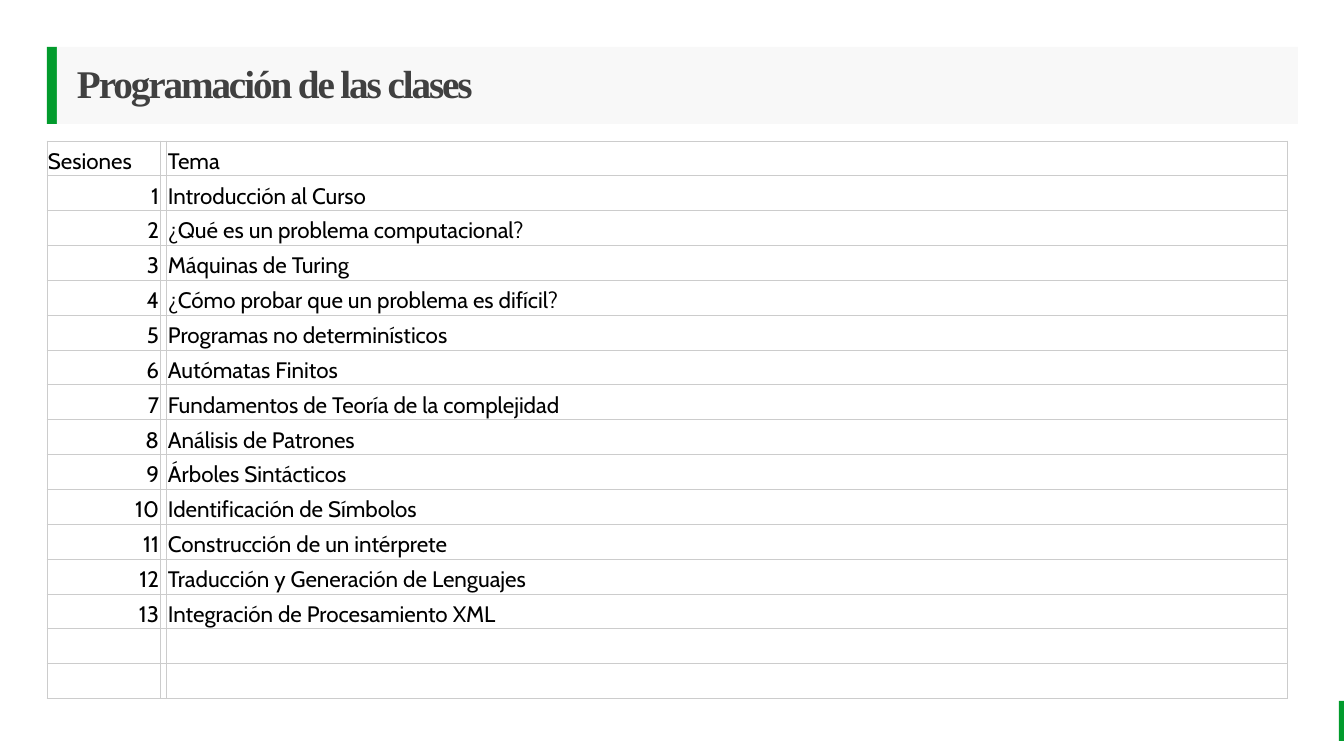
"""Build the class schedule slide: a title band above a table of sessions."""
from lxml.etree import SubElement
from pptx import Presentation
from pptx.dml.color import RGBColor
from pptx.enum.shapes import MSO_SHAPE
from pptx.enum.text import MSO_ANCHOR, PP_ALIGN
from pptx.oxml.ns import qn
from pptx.util import Pt

TITLE = "Programación de las clases"
HEADINGS = ("Sesiones", "", "Tema")
TOPICS = [
    "Introducción al Curso",
    "¿Qué es un problema computacional?",
    "Máquinas de Turing",
    "¿Cómo probar que un problema es difícil?",
    "Programas no determinísticos",
    "Autómatas Finitos",
    "Fundamentos de Teoría de la complejidad",
    "Análisis de Patrones",
    "Árboles Sintácticos",
    "Identificación de Símbolos",
    "Construcción de un intérprete",
    "Traducción y Generación de Lenguajes",
    "Integración de Procesamiento XML",
]
SPARE_ROWS = 2

SLIDE = (1344, 756)
TITLE_BAND = (57, 47, 1241, 77)
GREEN_BARS = [(1339, 701, 5, 40), (47, 47, 10, 77)]
SCHEDULE = (47, 141, 1241, 558)
COLUMNS = (113, 7, 1121)
GREEN, BAND, TITLE_INK, INK, GRID = "029B2D", "F8F8F8", "404040", "000000", "CCCCCC"


def px(length):
    return round(length * 914400 / 100.8)


def color(value):
    return RGBColor.from_string(value)


def style(paragraph, name, size, ink, bold=False):
    font = paragraph.font
    font.name, font.size, font.bold = name, Pt(size), bold
    font.color.rgb = color(ink)


def add_bar(slide, box, fill):
    bar = slide.shapes.add_shape(MSO_SHAPE.RECTANGLE, *map(px, box))
    bar.shadow.inherit = False
    bar.fill.solid()
    bar.fill.fore_color.rgb = color(fill)
    bar.line.fill.background()
    return bar


def add_title(slide):
    frame = add_bar(slide, TITLE_BAND, BAND).text_frame
    frame.word_wrap = True
    frame.vertical_anchor = MSO_ANCHOR.MIDDLE
    frame.margin_left = px(20)
    frame.margin_top = frame.margin_right = frame.margin_bottom = 0
    heading = frame.paragraphs[0]
    heading.text = TITLE
    heading.alignment = PP_ALIGN.LEFT
    heading.line_spacing = 0.9
    style(heading, "Times New Roman", 28, TITLE_INK, bold=True)
    heading._p.pPr.find(qn("a:defRPr")).set("spc", "-150")


def add_borders(cell):
    properties = cell._tc.get_or_add_tcPr()
    for side in ("L", "R", "T", "B"):
        border = SubElement(properties, qn(f"a:ln{side}"), w=str(Pt(0.75)))
        fill = SubElement(border, qn("a:solidFill"))
        SubElement(fill, qn("a:srgbClr"), val=GRID)


def add_schedule(slide):
    sessions = [(str(number), "", topic) for number, topic in enumerate(TOPICS, 1)]
    rows = [HEADINGS, *sessions, *[("", "", "")] * SPARE_ROWS]
    table = slide.shapes.add_table(len(rows), len(COLUMNS), *map(px, SCHEDULE)).table
    table.first_row = table.horz_banding = False
    for column, width in zip(table.columns, COLUMNS):
        column.width = px(width)
    for row_index, row in enumerate(rows):
        table.rows[row_index].height = px(SCHEDULE[3] / len(rows))
        for column_index, text in enumerate(row):
            cell = table.cell(row_index, column_index)
            add_borders(cell)
            cell.fill.background()
            cell.vertical_anchor = MSO_ANCHOR.BOTTOM
            cell.margin_left = cell.margin_right = px(1)
            cell.margin_top = cell.margin_bottom = px(1)
            entry = cell.text_frame.paragraphs[0]
            entry.text = text
            is_number = row_index > 0 and column_index == 0
            entry.alignment = PP_ALIGN.RIGHT if is_number else PP_ALIGN.LEFT
            style(entry, "Cabin", 16, INK)


def main():
    deck = Presentation()
    deck.slide_width, deck.slide_height = map(px, SLIDE)
    slide = deck.slides.add_slide(deck.slide_layouts[6])
    for box in GREEN_BARS:
        add_bar(slide, box, GREEN)
    add_schedule(slide)
    add_title(slide)
    deck.save("out.pptx")


if __name__ == "__main__":
    main()
